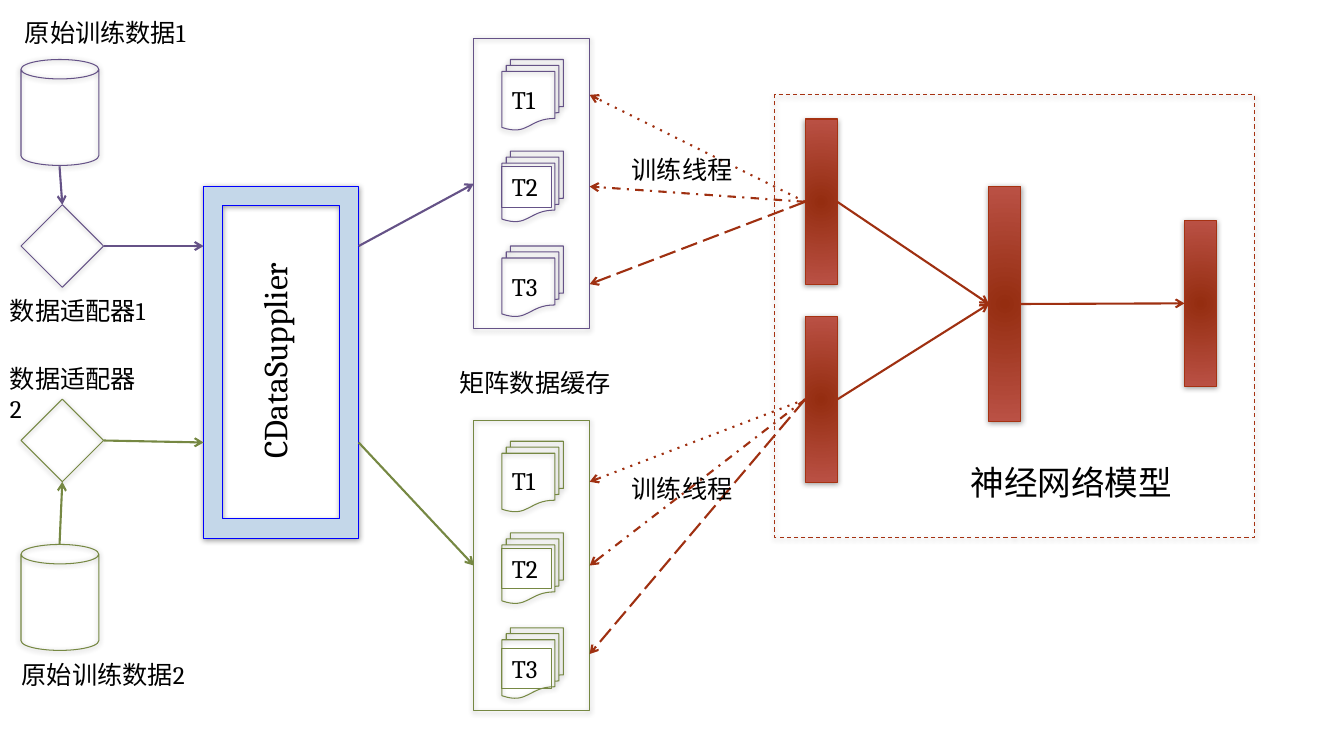
from dataclasses import dataclass
from lxml.etree import SubElement
from pptx import Presentation
from pptx.dml.color import RGBColor
from pptx.enum.shapes import MSO_CONNECTOR, MSO_SHAPE
from pptx.enum.text import MSO_AUTO_SIZE
from pptx.oxml import parse_xml
from pptx.oxml.ns import nsdecls, qn
from pptx.util import Cm, Pt


@dataclass(frozen=True)
class Theme:
    font: str = "Cambria"
    text: str = "000000"
    purple: str = "655287"
    green: str = "768843"
    arrow: str = "9F3011"
    bar_line: str = "A63212"
    bar_inner: str = "952D10"
    bar_outer: str = "BA5145"
    supplier_fill: str = "C4D7E9"
    supplier_line: str = "0000FF"
    body: int = 18
    title: int = 24
    thin: float = 0.75
    thick: float = 1.5


THEME = Theme()
TOP, LEFT, BOTTOM, RIGHT = range(4)
THREAD_DASHES = ("dot", "dashDot", "lgDash")
DOCUMENT_OFFSETS = (0.53, 2.84, 5.23)
LABEL_OFFSETS = (1.02, 3.23, 5.74)
CACHE_LEFT, CACHE_RIGHT = 11.94, 14.86
SUPPLIER_LEFT, SUPPLIER_RIGHT = 5.13, 9.04


def apply_format(target, values):
    for name, value in values.items():
        setattr(target, name, value)


def add_child(parent, tag, **attributes):
    return SubElement(parent, qn(tag), attributes)


def set_line(item, color, width, dash=None):
    item.line.color.rgb = RGBColor.from_string(color)
    item.line.width = Pt(width)
    outline = item.element.spPr.find(qn("a:ln"))
    if dash:
        add_child(outline, "a:prstDash", val=dash)
    return outline


def add_shadow(shape):
    shape.shadow.inherit = False
    effects = shape.element.spPr.find(qn("a:effectLst"))
    shadow = add_child(effects, "a:outerShdw", blurRad=str(Pt(4)), dist=str(Pt(1)),
                       dir="5400000", rotWithShape="0")
    color = add_child(shadow, "a:srgbClr", val=THEME.text)
    add_child(color, "a:alpha", val="37000")


def add_outline(page, kind, bounds, color, fill=None, dash=None):
    shape = page.shapes.add_shape(kind, *map(Cm, bounds))
    if fill:
        shape.fill.solid()
        shape.fill.fore_color.rgb = RGBColor.from_string(fill)
    else:
        shape.fill.background()
    set_line(shape, color, THEME.thin, dash)
    add_shadow(shape)
    return shape


def add_bar(page, left, top, height):
    bar = add_outline(page, MSO_SHAPE.RECTANGLE, (left, top, 0.81, height), THEME.bar_line)
    gradient = parse_xml(
        f'<a:gradFill {nsdecls("a")} rotWithShape="1"><a:gsLst>'
        f'<a:gs pos="0"><a:srgbClr val="{THEME.bar_inner}"/></a:gs>'
        f'<a:gs pos="100000"><a:srgbClr val="{THEME.bar_outer}"/></a:gs></a:gsLst>'
        '<a:path path="circle"><a:fillToRect l="40000" t="100000" r="40000" b="100000"/>'
        '</a:path></a:gradFill>')
    properties = bar.element.spPr
    properties.replace(properties.find(qn("a:noFill")), gradient)
    return bar


def add_label(page, text, bounds, size=THEME.body, wrap=False, border=None, vertical=False):
    box = page.shapes.add_textbox(*map(Cm, bounds))
    apply_format(box.text_frame, {"word_wrap": wrap, "auto_size": MSO_AUTO_SIZE.SHAPE_TO_FIT_TEXT})
    if border:
        set_line(box, border, THEME.thin)
    if vertical:
        box.element.txBody.find(qn("a:bodyPr")).set("vert", "vert270")
    para = box.text_frame.paragraphs[0]
    span = para.add_run()
    span.text = text
    apply_format(span.font, {"name": THEME.font, "size": Pt(size)})
    span.font.color.rgb = RGBColor.from_string(THEME.text)


def add_arrow(page, color, start=(0, 0), end=(0, 0), start_side=None, end_side=None, dash=None):
    arrow = page.shapes.add_connector(MSO_CONNECTOR.STRAIGHT, *map(Cm, (*start, *end)))
    if start_side:
        arrow.begin_connect(*start_side)
    if end_side:
        arrow.end_connect(*end_side)
    outline = set_line(arrow, color, THEME.thick, dash)
    add_child(outline, "a:tailEnd", type="arrow")
    add_child(arrow.element.spPr, "a:effectLst")


def add_network(page):
    first_input = add_bar(page, 20.29, 3.0, 4.17)
    second_input = add_bar(page, 20.29, 7.98, 4.17)
    hidden = add_bar(page, 24.92, 4.7, 5.92)
    output = add_bar(page, 29.85, 5.56, 4.17)
    for source, target in ((first_input, hidden), (second_input, hidden), (hidden, output)):
        add_arrow(page, THEME.arrow, start_side=(source, RIGHT), end_side=(target, LEFT))
    add_outline(page, MSO_SHAPE.RECTANGLE, (19.53, 2.39, 12.09, 11.15), THEME.bar_line, dash="dash")
    add_label(page, "神经网络模型", (24.21, 11.51, 5.64, 1.27), THEME.title)
    return first_input, second_input


def add_supplier(page):
    add_outline(page, MSO_SHAPE.FRAME, (SUPPLIER_LEFT, 4.7, 3.91, 8.86),
                THEME.supplier_line, THEME.supplier_fill)
    add_label(page, "CDataSupplier", (6.27, 6.27, 1.55, 5.54), THEME.title, vertical=True)


def add_cache(page, top, color, bordered):
    for offset in DOCUMENT_OFFSETS:
        add_outline(page, MSO_SHAPE.FLOWCHART_MULTIDOCUMENT, (12.65, top + offset, 1.55, 1.78), color)
    cache = add_outline(page, MSO_SHAPE.RECTANGLE, (CACHE_LEFT, top, 2.92, 7.32), color)
    for number, offset in enumerate(LABEL_OFFSETS, 1):
        add_label(page, f"T{number}", (12.65, top + offset, 1.24, 1.02),
                  border=color if number in bordered else None)
    return cache


def add_source(page, color, can_top, can_exit, diamond_top, diamond_side, supplier_y):
    add_outline(page, MSO_SHAPE.CAN, (0.53, can_top, 1.96, 2.67), color)
    diamond = add_outline(page, MSO_SHAPE.DIAMOND, (0.53, diamond_top, 2.08, 2.08), color)
    add_arrow(page, color, start=(1.5, can_exit), end_side=(diamond, diamond_side))
    add_arrow(page, color, end=(SUPPLIER_LEFT, supplier_y), start_side=(diamond, RIGHT))


def add_threads(page, bar, cache, targets):
    for target, dash in zip(targets, THREAD_DASHES):
        if target is None:
            add_arrow(page, THEME.arrow, start_side=(bar, LEFT), end_side=(cache, RIGHT), dash=dash)
        else:
            add_arrow(page, THEME.arrow, end=(CACHE_RIGHT, target), start_side=(bar, LEFT), dash=dash)


def main():
    deck = Presentation()
    apply_format(deck, {"slide_width": Cm(33.87), "slide_height": Cm(19.05)})
    page = deck.slides.add_slide(deck.slide_layouts[6])
    inputs = add_network(page)
    add_supplier(page)
    lanes = (
        (THEME.purple, (1.5, 4.19, 5.16, TOP), 6.2, 0.97, (2,), (2.39, 4.7, 7.16)),
        (THEME.green, (13.72, 13.72, 10.06, BOTTOM), 11.15, 10.59, (2, 3), (12.14, None, 16.48)),
    )
    for bar, (color, source, supplier_y, cache_top, bordered, targets) in zip(inputs, lanes):
        add_source(page, color, *source, supplier_y)
        cache = add_cache(page, cache_top, color, bordered)
        add_arrow(page, color, start=(SUPPLIER_RIGHT, supplier_y), end_side=(cache, LEFT))
        add_threads(page, bar, cache, targets)
    add_label(page, "原始训练数据1", (0.38, 0.3, 6.73, 1.02), wrap=True)
    add_label(page, "数据适配器1", (0, 7.32, 4.06, 1.02))
    add_label(page, "数据适配器2", (0, 9.02, 3.9, 1.02), wrap=True)
    add_label(page, "原始训练数据2", (0.3, 16.48, 6.73, 1.02), wrap=True)
    add_label(page, "矩阵数据缓存", (11.33, 9.14, 4.37, 1.02))
    for top in (3.76, 11.79):
        add_label(page, "训练线程", (15.67, top, 3.07, 1.02))
    deck.save("out.pptx")


if __name__ == "__main__":
    main()
